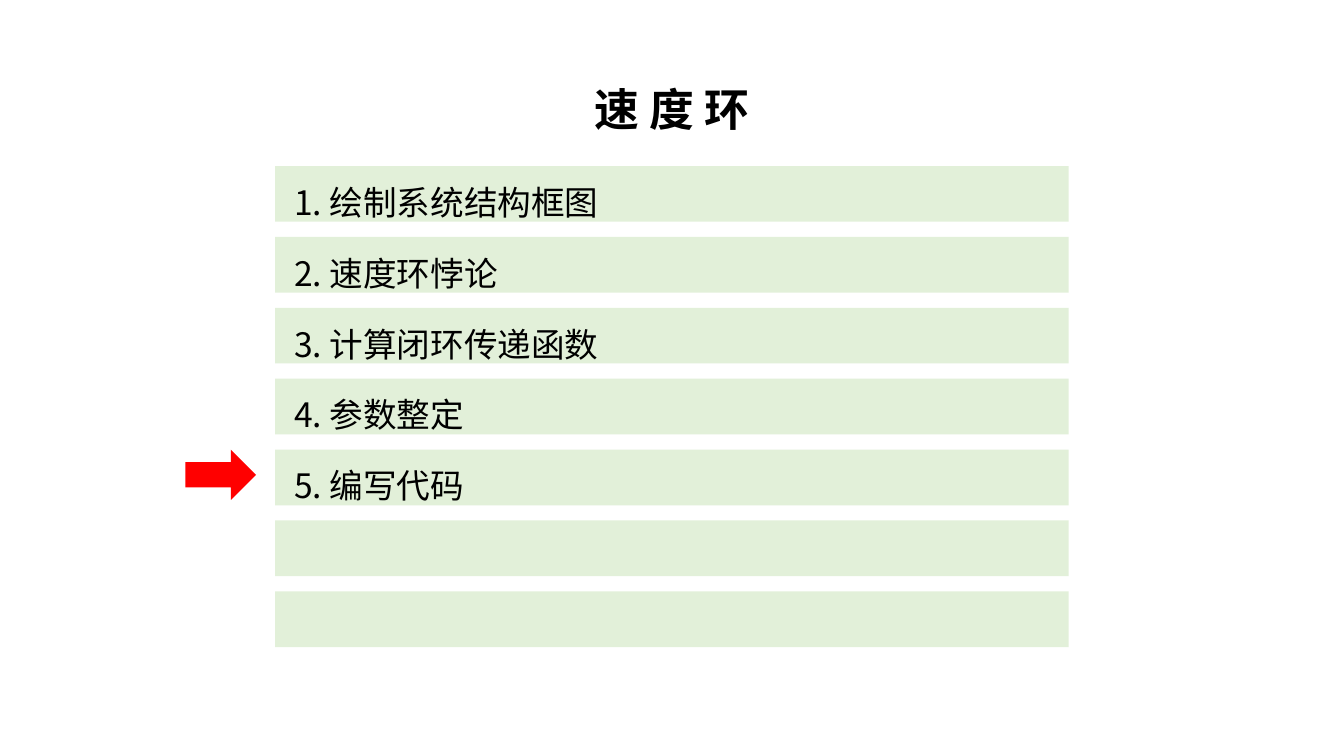
from lxml import etree
from pptx import Presentation
from pptx import util as u
from pptx.dml.color import RGBColor
from pptx.enum import shapes, text
from pptx.oxml.ns import qn

COLORS = {"text": "000000", "bar": "E2F0D9", "marker": "FF0000"}
TITLE = "速 度 环"
STEPS = [
    "1. 绘制系统结构框图",
    "2. 速度环悖论",
    "3. 计算闭环传递函数",
    "4. 参数整定",
    "5. 编写代码",
]
BAR_COUNT = 7
BAR_LEFT, BAR_TOP, BAR_WIDTH, BAR_HEIGHT = 196.5, 118.6, 566.9, 39.8
BAR_PITCH = 50.64
LINE_HEIGHT = 34.8
CURRENT_STEP = 5


def write_paragraph(paragraph, content, *, size, bold=False, line=None,
                    before=0, align=text.PP_ALIGN.LEFT,
                    font="Noto Sans CJK SC", color="text"):
    """Fill a paragraph with one run, without bullet or indent."""
    properties = paragraph._p.get_or_add_pPr()
    properties.set("marL", "0")
    properties.set("indent", "0")
    etree.SubElement(properties, qn("a:buNone"))
    paragraph.alignment = align
    paragraph.space_before = u.Pt(before)
    if line:
        paragraph.line_spacing = u.Pt(line)
    run = paragraph.add_run()
    run.text = content
    run.font.size = u.Pt(size)
    run.font.bold = bold
    run.font.color.rgb = RGBColor.from_string(COLORS[color])
    run.font.name = font
    east_asian = etree.SubElement(run.font._element, qn("a:ea"))
    east_asian.set("typeface", font)


class SlideBuilder:
    def __init__(self, presentation):
        layout = presentation.slide_layouts.get_by_name("Title and Content")
        self.slide = presentation.slides.add_slide(layout)

    def block(self, kind, color, left, top, width, height):
        shape = self.slide.shapes.add_shape(
            kind, u.Pt(left), u.Pt(top), u.Pt(width), u.Pt(height))
        shape.shadow.inherit = False
        shape.fill.solid()
        shape.fill.fore_color.rgb = RGBColor.from_string(COLORS[color])
        shape.line.fill.background()

    def place(self, placeholder, left, top, width, height, wrap):
        """Position a placeholder in front of everything drawn so far."""
        placeholder.left, placeholder.top = u.Pt(left), u.Pt(top)
        placeholder.width, placeholder.height = u.Pt(width), u.Pt(height)
        placeholder.element.getparent().append(placeholder.element)
        frame = placeholder.text_frame
        frame.auto_size = text.MSO_AUTO_SIZE.NONE
        frame.vertical_anchor = text.MSO_ANCHOR.TOP
        frame.word_wrap = wrap
        return frame

    def title(self, content, left, top, width, height):
        frame = self.place(self.slide.shapes.title, left, top, width, height,
                           wrap=False)
        write_paragraph(frame.paragraphs[0], content, size=32, bold=True,
                        align=text.PP_ALIGN.CENTER)

    def steps(self, items, left, top, width, height):
        frame = self.place(self.slide.placeholders[1], left, top, width,
                           height, wrap=True)
        for index, item in enumerate(items):
            paragraph = frame.add_paragraph() if index else frame.paragraphs[0]
            write_paragraph(paragraph, item, size=24, line=LINE_HEIGHT,
                            before=BAR_PITCH - LINE_HEIGHT if index else 0)


def main():
    presentation = Presentation()
    presentation.slide_width, presentation.slide_height = u.Pt(960), u.Pt(540)
    builder = SlideBuilder(presentation)
    builder.title(TITLE, 407.5, 54.7, 144.7, 46)
    for row in range(BAR_COUNT):
        builder.block(shapes.MSO_SHAPE.RECTANGLE, "bar", BAR_LEFT,
                      BAR_TOP + row * BAR_PITCH, BAR_WIDTH, BAR_HEIGHT)
    builder.block(shapes.MSO_SHAPE.RIGHT_ARROW, "marker", 132.5,
                  BAR_TOP + (CURRENT_STEP - 1) * BAR_PITCH, 50.4, 36)
    builder.steps(STEPS, 203, 120.2, 553, len(STEPS) * BAR_PITCH)
    presentation.save("out.pptx")


if __name__ == "__main__":
    main()
